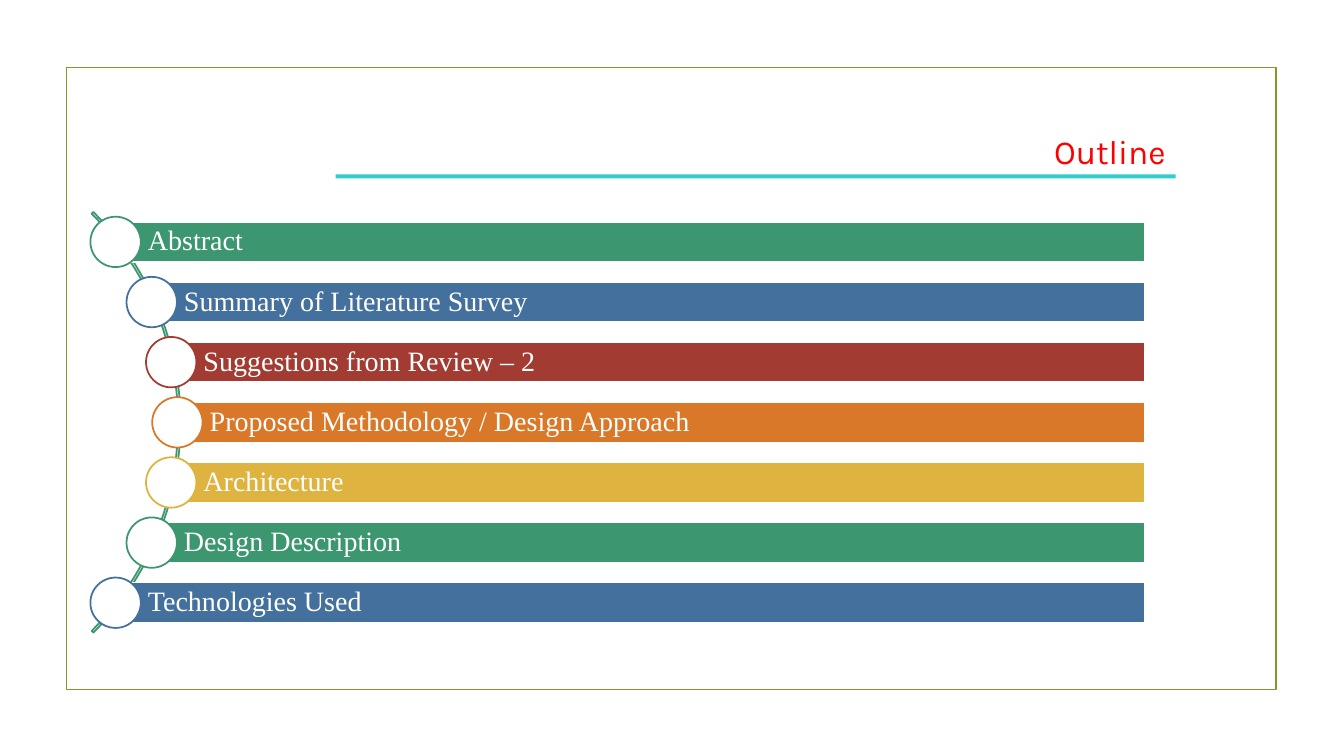
from dataclasses import dataclass
from math import sqrt

from pptx import Presentation
from pptx.dml.color import RGBColor
from pptx.enum.shapes import MSO_SHAPE as Preset
from pptx.enum.text import MSO_ANCHOR as Anchor, MSO_AUTO_SIZE as AutoSize, PP_ALIGN as Align
from pptx.shapes.autoshape import Shape
from pptx.slide import Slide
from pptx.text.text import _Paragraph as Paragraph
from pptx.util import Inches, Pt

WHITE = "FFFFFF"
GREEN = "3C9770"
BLUE = "44709D"

ARC_CENTER_X, ARC_CENTER_Y, ARC_RADIUS = -1.16, 4.19, 2.95
DOT_ORBIT = 2.92
DOT_SIZE = 0.5
BAR_HEIGHT = 0.4
BAR_RIGHT = 11.36
PITCH = 3.58 / 6


@dataclass(frozen=True)
class Topic:
    label: str
    color: str


TOPICS = [
    Topic("Abstract", GREEN),
    Topic("Summary of Literature Survey", BLUE),
    Topic("Suggestions from Review – 2", "A23C33"),
    Topic("Proposed Methodology / Design Approach", "D97828"),
    Topic("Architecture", "DEB340"),
    Topic("Design Description", GREEN),
    Topic("Technologies Used", BLUE),
]


def rgb(color: str) -> RGBColor:
    return RGBColor.from_string(color)


def add_preset(page: Slide, preset: Preset, left: float, top: float, width: float,
               height: float, fill: str = "", line: str = "") -> Shape:
    shape = page.shapes.add_shape(preset, Inches(left), Inches(top), Inches(width), Inches(height))
    shape.shadow.inherit = False
    if fill:
        shape.fill.solid()
        shape.fill.fore_color.rgb = rgb(fill)
    else:
        shape.fill.background()
    if line:
        shape.line.color.rgb = rgb(line)
        shape.line.width = Pt(1.25)
    else:
        shape.line.fill.background()
    return shape


def add_span(para: Paragraph, text: str, font: str, size: float, color: str) -> None:
    span = para.add_run()
    span.text = text
    span.font.name = font
    span.font.size = Pt(size)
    span.font.color.rgb = rgb(color)


def add_title(page: Slide) -> None:
    add_preset(page, Preset.RECTANGLE, 3.33, 1.73, 8.33, 0.04, fill="33CCCC")
    box = page.shapes.add_textbox(Inches(4.58), Inches(1.25), Inches(7.08), Inches(0.5))
    box.text_frame.word_wrap = True
    box.text_frame.auto_size = AutoSize.SHAPE_TO_FIT_TEXT
    para = box.text_frame.paragraphs[0]
    para.alignment = Align.RIGHT
    add_span(para, "Outline", "Karla", 24, "FF0000")


def add_arc(page: Slide) -> None:
    arc = add_preset(page, Preset.BLOCK_ARC, ARC_CENTER_X - ARC_RADIUS, ARC_CENTER_Y - ARC_RADIUS,
                     2 * ARC_RADIUS, 2 * ARC_RADIUS, line=GREEN)
    for index, value in enumerate((189, 27, 0.004)):
        arc.adjustments[index] = value


def add_topic(page: Slide, topic: Topic, steps_from_middle: int) -> None:
    rise = steps_from_middle * PITCH
    x = ARC_CENTER_X + sqrt(DOT_ORBIT ** 2 - rise ** 2)
    y = ARC_CENTER_Y + rise
    bar = add_preset(page, Preset.RECTANGLE, x, y - BAR_HEIGHT / 2, BAR_RIGHT - x, BAR_HEIGHT,
                     fill=topic.color, line=WHITE)
    frame = bar.text_frame
    frame.word_wrap = True
    frame.vertical_anchor = Anchor.MIDDLE
    frame.margin_left = Inches(0.32)
    frame.margin_top = frame.margin_right = frame.margin_bottom = Inches(0.06)
    para = frame.paragraphs[0]
    para.alignment = Align.LEFT
    para.line_spacing = 0.9
    add_span(para, topic.label, "Times New Roman", 20, WHITE)
    add_preset(page, Preset.OVAL, x - DOT_SIZE / 2, y - DOT_SIZE / 2, DOT_SIZE, DOT_SIZE,
               fill=WHITE, line=topic.color)


def main() -> None:
    deck = Presentation()
    deck.slide_width = Inches(13.33)
    deck.slide_height = Inches(7.5)
    page = deck.slides.add_slide(deck.slide_layouts[6])
    add_preset(page, Preset.RECTANGLE, 0.66, 0.67, 12, 6.17, line="83992A")
    add_title(page)
    add_arc(page)
    for index, topic in enumerate(TOPICS):
        add_topic(page, topic, index - len(TOPICS) // 2)
    deck.save("out.pptx")


if __name__ == "__main__":
    main()
